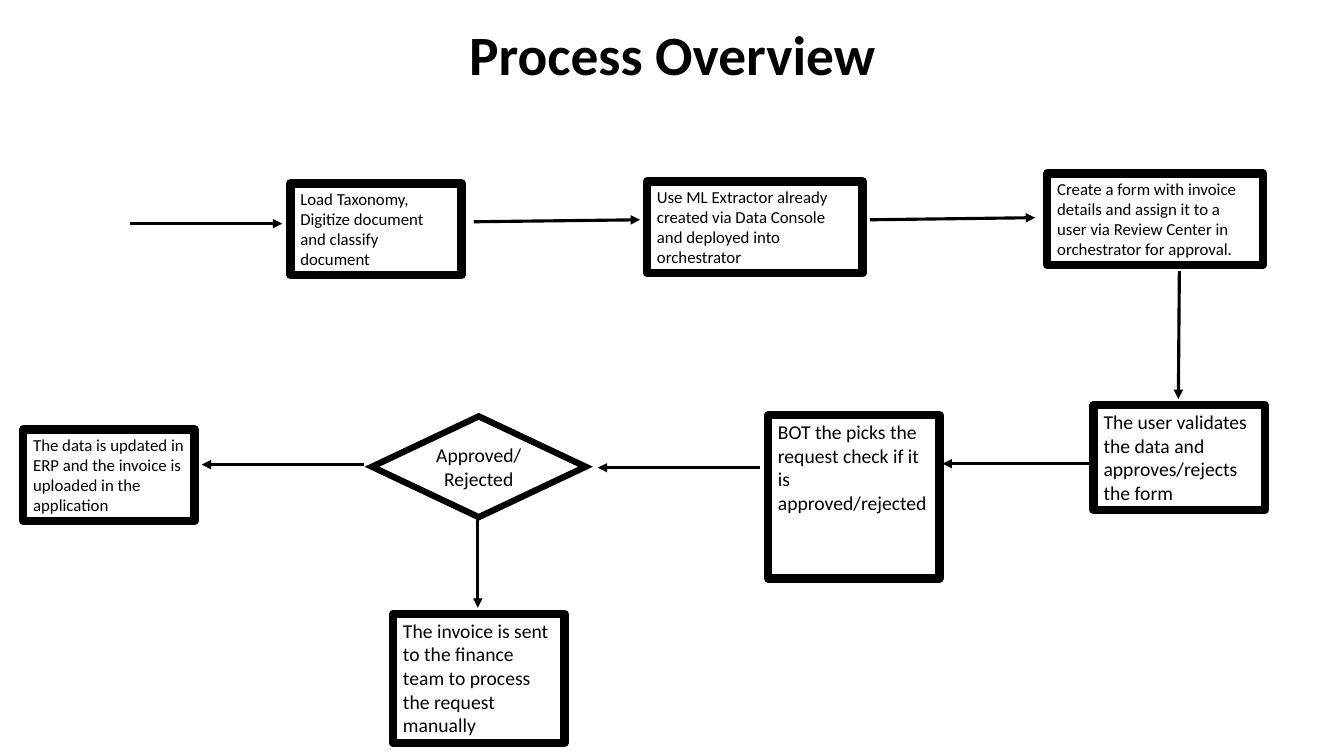
import pptx
import pptx.util
import pptx.dml.color
import pptx.enum.shapes
import pptx.enum.text
from lxml import etree

Pt = pptx.util.Pt
SHAPES = pptx.enum.shapes.MSO_SHAPE
ALIGN = pptx.enum.text.PP_ALIGN
ANCHOR = pptx.enum.text.MSO_ANCHOR

# Content
COLORS = {"ink": "000000"}
FONT = "Calibri"
TITLE = "Process Overview"
NARROW, WIDE, LOW = 122.4, 154.1, 65.5

# text, left, top, width, height, text size
STEPS = [
    ("Load Taxonomy, Digitize document and classify document",
     207.4, 131, NARROW, LOW, 12),
    ("Use ML Extractor already created via Data Console and deployed into "
     "orchestrator", 462.2, 129.6, WIDE, LOW, 12),
    ("Create a form with invoice details and assign it to a user via Review "
     "Center in orchestrator for approval.", 748.1, 123.8, WIDE, LOW, 12),
    ("The user validates the data and approves/rejects the form",
     781.2, 289.4, NARROW, 74.9, 14),
    ("BOT the picks the request check if it is approved/rejected",
     548.6, 296.6, NARROW, 116.6, 14),
    ("The invoice is sent to the finance team to process the request manually",
     280.8, 438.5, NARROW, 92.2, 14),
    ("The data is updated in ERP and the invoice is uploaded in the application",
     16.6, 306.7, NARROW, LOW, 12),
]
DECISION = ("Approved/Rejected", 265.7, 297.4, 152.6, 72, 14)

# start x, start y, end x, end y
ARROWS = [
    (92.9, 159.8, 201.6, 159.8),
    (338.4, 158.4, 457.2, 157),
    (621.4, 157, 739.4, 155.5),
    (842.4, 193.7, 841.7, 285.1),
    (778.3, 331.2, 673.2, 331.2),
    (542.9, 334.1, 427, 334.1),
    (341.3, 370.1, 341.3, 434.2),
    (259.9, 331.9, 144, 331.9),
]


def ink():
    return pptx.dml.color.RGBColor.from_string(COLORS["ink"])


def style_text(para, size, bold=False):
    for span in para.runs:
        span.font.name = FONT
        span.font.size = Pt(size)
        span.font.bold = bold
        span.font.color.rgb = ink()


def add_to_line(shape, *tags_and_attributes):
    line = shape.line._get_or_add_ln()
    for tag, attributes in tags_and_attributes:
        etree.SubElement(line, pptx.oxml.ns.qn(tag), attributes)


def add_node(page, kind, node, weight, align, anchor, join):
    text, left, top, width, height, size = node
    box = page.shapes.add_shape(kind, Pt(left), Pt(top), Pt(width), Pt(height))
    box.shadow.inherit = False
    box.fill.background()
    box.line.color.rgb = ink()
    box.line.width = Pt(weight)
    add_to_line(box, join)
    frame = box.text_frame
    frame.word_wrap = True
    frame.vertical_anchor = anchor
    frame.text = text
    para = frame.paragraphs[0]
    para.alignment = align
    style_text(para, size)


def add_arrow(page, start_x, start_y, end_x, end_y):
    arrow = page.shapes.add_connector(
        pptx.enum.shapes.MSO_CONNECTOR.STRAIGHT,
        Pt(start_x), Pt(start_y), Pt(end_x), Pt(end_y))
    arrow.line.color.rgb = ink()
    arrow.line.width = Pt(2.25)
    add_to_line(arrow, ("a:tailEnd", {"type": "triangle"}))
    etree.SubElement(arrow._element.spPr, pptx.oxml.ns.qn("a:effectLst"))


def main():
    deck = pptx.Presentation()
    deck.slide_width, deck.slide_height = Pt(960), Pt(540)
    page = deck.slides.add_slide(deck.slide_layouts[5])

    # Title
    title = page.shapes.title
    title.left, title.top, title.width, title.height = (
        Pt(66.2), Pt(14.4), Pt(828), Pt(53.3))
    title.text_frame.text = TITLE
    title.text_frame.vertical_anchor = ANCHOR.MIDDLE
    heading = title.text_frame.paragraphs[0]
    heading.alignment = ALIGN.CENTER
    heading.line_spacing = 0.9
    style_text(heading, 39.6, bold=True)

    # Process steps and the decision
    for step in STEPS:
        add_node(page, SHAPES.RECTANGLE, step, 6, ALIGN.LEFT, ANCHOR.TOP,
                 ("a:round", {}))
    add_node(page, SHAPES.FLOWCHART_DECISION, DECISION, 4.5, ALIGN.CENTER,
             ANCHOR.MIDDLE, ("a:miter", {"lim": "800000"}))

    # Flow arrows
    for arrow in ARROWS:
        add_arrow(page, *arrow)

    deck.save("out.pptx")


if __name__ == "__main__":
    main()
